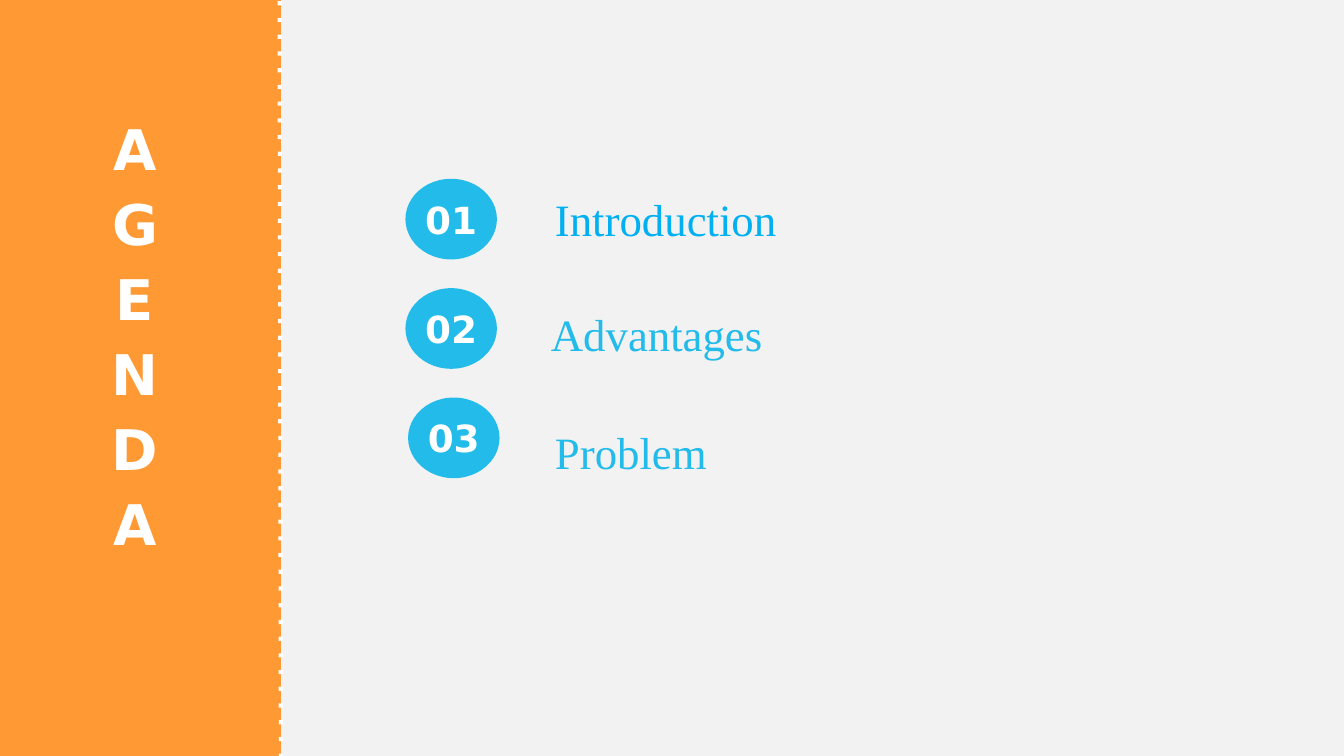
from dataclasses import dataclass

from lxml import etree
from pptx import Presentation
from pptx.dml.color import RGBColor
from pptx.enum.dml import MSO_LINE
from pptx.enum.shapes import MSO_CONNECTOR, MSO_SHAPE
from pptx.enum.text import MSO_ANCHOR, MSO_AUTO_SIZE, PP_ALIGN
from pptx.oxml.ns import qn
from pptx.util import Pt

RECTANGLE, ELLIPSE = MSO_SHAPE.RECTANGLE, MSO_SHAPE.OVAL
STRAIGHT = MSO_CONNECTOR.STRAIGHT
DOTTED = MSO_LINE.ROUND_DOT
MIDDLE, TOP = MSO_ANCHOR.MIDDLE, MSO_ANCHOR.TOP
NO_FIT = MSO_AUTO_SIZE.NONE
CENTER, LEFT = PP_ALIGN.CENTER, PP_ALIGN.LEFT


@dataclass(frozen=True)
class Theme:
    background: str = "F2F2F2"
    sidebar: str = "FF9933"
    white: str = "FFFFFF"
    blue: str = "22BBEA"
    bright_blue: str = "00B0F0"
    heading_font: str = "DejaVu Sans"
    body_font: str = "Times New Roman"
    title_size: int = 30
    number_size: int = 20
    item_size: int = 24


theme = Theme()


def add_filled_shape(kind, left, top, width, height, color):
    shape = slide.shapes.add_shape(kind, Pt(left), Pt(top), Pt(width), Pt(height))
    shape.shadow.inherit = False
    shape.fill.solid()
    shape.fill.fore_color.rgb = RGBColor.from_string(color)
    shape.line.fill.background()
    return shape


def write_text(shape, lines, font, size, color, bold, align, anchor, space=0):
    frame = shape.text_frame
    frame.text = "\n".join(lines)
    frame_format = {"word_wrap": True, "auto_size": NO_FIT, "vertical_anchor": anchor}
    for name, value in frame_format.items():
        setattr(frame, name, value)
    paragraph_format = {"alignment": align, "space_before": Pt(space), "line_spacing": 1.0}
    font_format = {"name": font, "size": Pt(size), "bold": bold}
    for paragraph in frame.paragraphs:
        for name, value in paragraph_format.items():
            setattr(paragraph, name, value)
        for run in paragraph.runs:
            for name, value in font_format.items():
                setattr(run.font, name, value)
            run.font.color.rgb = RGBColor.from_string(color)


presentation = Presentation()
presentation.slide_width, presentation.slide_height = Pt(720), Pt(405)
slide = presentation.slides.add_slide(presentation.slide_layouts[5])
slide.background.fill.solid()
slide.background.fill.fore_color.rgb = RGBColor.from_string(theme.background)

title = slide.shapes.title
sidebar = add_filled_shape(RECTANGLE, -6.5, 0, 157, 405, theme.sidebar)
title._element.addprevious(sidebar._element)

title_box = {"left": 0, "top": 162.7, "width": 144.7, "height": 33.8}
for name, value in title_box.items():
    setattr(title, name, Pt(value))
write_text(title, "AGENDA", theme.heading_font, theme.title_size, theme.white,
           True, CENTER, MIDDLE, 4.2)

divider = slide.shapes.add_connector(STRAIGHT, Pt(150.5), Pt(406), Pt(149.8), Pt(0))
divider.line.color.rgb = RGBColor.from_string(theme.white)
divider.line.width = Pt(2.25)
divider.line.dash_style = DOTTED
divider.line._ln.find(qn("a:prstDash")).set("val", "dot")
etree.SubElement(divider._element.spPr, qn("a:effectLst"))

FIRST_DISC_TOP, DISC_PITCH = 95.8, 58.6
agenda = [
    ("Introduction", 217.2, 290.2, 99.4, 302, theme.bright_blue, 0),
    ("Advantages", 217.2, 288, 160.6, 430, theme.blue, 1.2),
    ("Problem", 218.6, 290.2, 224, 430, theme.blue, 1.2),
]
for index, (item, disc_left, item_left, item_top, item_width, color, space) in enumerate(agenda):
    disc_top = FIRST_DISC_TOP + index * DISC_PITCH
    disc = add_filled_shape(ELLIPSE, disc_left, disc_top, 49, 43.2, theme.blue)
    for side in ("left", "right", "top", "bottom"):
        setattr(disc.text_frame, f"margin_{side}", Pt(0))
    write_text(disc, [f"{index + 1:02}"], theme.heading_font, theme.number_size,
               theme.white, True, CENTER, MIDDLE)
    label = slide.shapes.add_textbox(Pt(item_left), Pt(item_top), Pt(item_width), Pt(36))
    write_text(label, [item], theme.body_font, theme.item_size, color,
               False, LEFT, TOP, space)

presentation.save("out.pptx")
